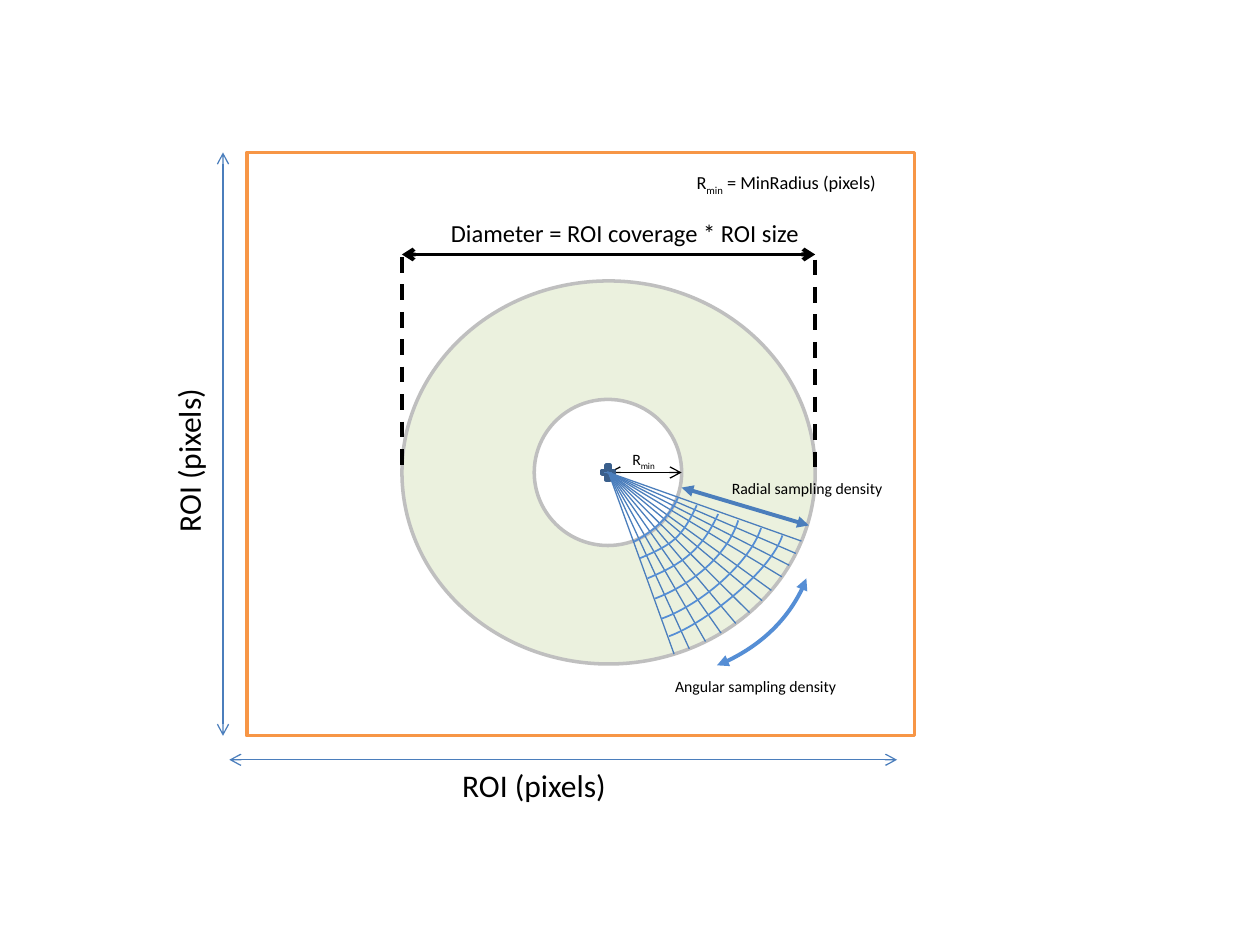
import math
import pptx
import pptx.util
import pptx.dml.color
import pptx.enum.dml
import pptx.enum.shapes
import pptx.oxml
import pptx.oxml.ns

Inches, Pt = pptx.util.Inches, pptx.util.Pt
qn, make = pptx.oxml.ns.qn, pptx.oxml.parse_xml
NS = pptx.oxml.ns.nsdecls("a")
Shape = pptx.enum.shapes.MSO_SHAPE
DASH = pptx.enum.dml.MSO_LINE.DASH

HUE = {"black": "000000", "white": "FFFFFF", "frame": "F79646", "ring": "EBF1DE",
       "edge": "BFBFBF", "blue": "4B7EBC", "arc": "558ED5", "plus": "4F81BD",
       "rim": "3A5F8C"}


def tint(name):
    return pptx.dml.color.RGBColor.from_string(HUE[name])


def stroke(item, hue, width, ends=None, dash=None):
    item.line.color.rgb = tint(hue)
    item.line.width = Pt(width)
    if dash:
        item.line.dash_style = dash
    if ends:
        for tag in ("headEnd", "tailEnd"):
            item.line._get_or_add_ln().append(make(f'<a:{tag} {NS} type="{ends}"/>'))


def solid(slide, kind, box, fill, hue):
    item = slide.shapes.add_shape(kind, *map(Inches, box))
    item.shadow.inherit = False
    item.fill.solid()
    item.fill.fore_color.rgb = tint(fill)
    stroke(item, hue, 2)


def line(slide, start, end, hue, width, ends=None, dash=None):
    item = slide.shapes.add_connector(
        pptx.enum.shapes.MSO_CONNECTOR.STRAIGHT, *map(Inches, (*start, *end)))
    stroke(item, hue, width, ends, dash)
    item._element.spPr.append(make(f"<a:effectLst {NS}/>"))


def curve(slide, pts, width, ends=None):
    """Draw one cubic curve from start, two handles and end."""
    pts = [tuple(map(Inches, pt)) for pt in pts]
    pen = slide.shapes.build_freeform(*pts[0])
    pen.add_line_segments(pts[1:], close=False)
    item = pen.convert_to_shape()
    item.shadow.inherit = False
    item.fill.background()
    stroke(item, "arc", width, ends)
    # Turn the three segments into one Bezier segment
    legs = list(item._element.iter(qn("a:lnTo")))
    bend = make(f"<a:cubicBezTo {NS}/>")
    legs[0].addprevious(bend)
    for leg in legs:
        bend.append(leg[0])
        leg.getparent().remove(leg)


def label(slide, box, size, *parts, turn=0):
    """Write runs in turn; every second one is a subscript."""
    item = slide.shapes.add_textbox(*map(Inches, box))
    item.rotation = turn
    item.text_frame.word_wrap = False
    form = {"name": "Calibri", "size": Pt(size)}
    for i, part in enumerate(parts):
        run = item.text_frame.paragraphs[0].add_run()
        run.text = part
        for key, val in form.items():
            setattr(run.font, key, val)
        run.font.color.rgb = tint("black")
        if i % 2:
            run.font._element.set("baseline", "-25000")


def frame(slide, x, y, w, h):
    solid(slide, Shape.RECTANGLE, (x, y, w, h), "white", "frame")
    label(slide, (x + 3.47, y + 0.1, 1.67, 0.28), 10.5,
          "R", "min", " = MinRadius (pixels)")
    # Size arrows below and at the left
    low = y + h + 0.19
    line(slide, (x - 0.14, low), (x + w - 0.14, low), "blue", 0.75, "arrow")
    line(slide, (x - 0.19, y), (x - 0.19, y + h), "blue", 0.75, "arrow")
    label(slide, (x + 1.61, low, 1.35, 0.4), 18, "ROI (pixels)")
    label(slide, (x - 1.14, y + 2.24, 1.35, 0.4), 18, "ROI (pixels)", turn=270)


def ring(slide, x, y, w, h):
    mx, my = x + w / 2, y + h / 2
    solid(slide, Shape.OVAL, (x, y, w, h), "ring", "edge")
    solid(slide, Shape.OVAL, (mx - 0.59, my - 0.58, 1.17, 1.16), "white", "edge")
    # Inner radius and centre mark
    line(slide, (mx, my), (mx + 0.58, my), "black", 0.75, "arrow")
    solid(slide, Shape.MATH_PLUS, (mx - 0.07, my - 0.08, 0.13, 0.16), "plus", "rim")
    label(slide, (mx + 0.09, my - 0.23, 0.4, 0.25), 9, "R", "min")
    # Diameter
    top = y - 0.21
    line(slide, (x + w, top), (x, top), "black", 2.25, "arrow")
    label(slide, (x + 0.29, top - 0.34, 2.99, 0.34), 14,
          "Diameter = ROI coverage * ROI size")
    for side, gap in ((x, 0.02), (x + w, 0.04)):
        line(slide, (side, top + gap), (side, my + gap - 0.02), "black", 2.25, dash=DASH)


def sector(slide, x, y, w, h):
    mx, my = x + w / 2, y + h / 2

    def at(*pts):
        return [(mx + dx, my + dy) for dx, dy in pts]

    # Spokes
    for deg in (21, 25, 29, 33, 38, 42, 47, 52, 57, 62, 67, 71.5):
        turn = math.radians(deg)
        end = (mx + w / 2 * math.cos(turn), my + h / 2 * math.sin(turn))
        line(slide, (mx, my), end, "blue", 0.75)
    # Cross arcs, from the hole outwards
    for arc in (((0.2, 0.55), (0.27, 0.51), (0.45, 0.42), (0.55, 0.2)),
                ((0.25, 0.68), (0.51, 0.57), (0.58, 0.52), (0.7, 0.26)),
                ((0.31, 0.84), (0.6, 0.72), (0.74, 0.61), (0.87, 0.33)),
                ((0.37, 1), (0.66, 0.89), (0.94, 0.66), (1.03, 0.38)),
                ((0.42, 1.16), (0.73, 1.05), (1.12, 0.72), (1.21, 0.44)),
                ((0.48, 1.3), (0.78, 1.19), (1.29, 0.78), (1.38, 0.5))):
        curve(slide, at(*arc), 1)
    # Sampling arrows and their names
    curve(slide, at((0.86, 1.53), (1.16, 1.42), (1.48, 1.11), (1.57, 0.84)),
          2.25, "triangle")
    label(slide, (mx + 0.43, my + 1.57, 1.5, 0.25), 9, "Angular sampling density")
    line(slide, *at((0.58, 0.12), (1.59, 0.42)), "blue", 2.25, "triangle")
    label(slide, (mx + 0.88, my, 1.45, 0.25), 9, "Radial sampling density")


deck = pptx.Presentation()
deck.slide_width, deck.slide_height = Inches(10), Inches(7.5)
page = deck.slides.add_slide(deck.slide_layouts[6])
disc = (3.19, 2.23, 3.28, 3.04)
frame(page, 1.96, 1.21, 5.3, 4.63)
ring(page, *disc)
sector(page, *disc)
deck.save("out.pptx")
